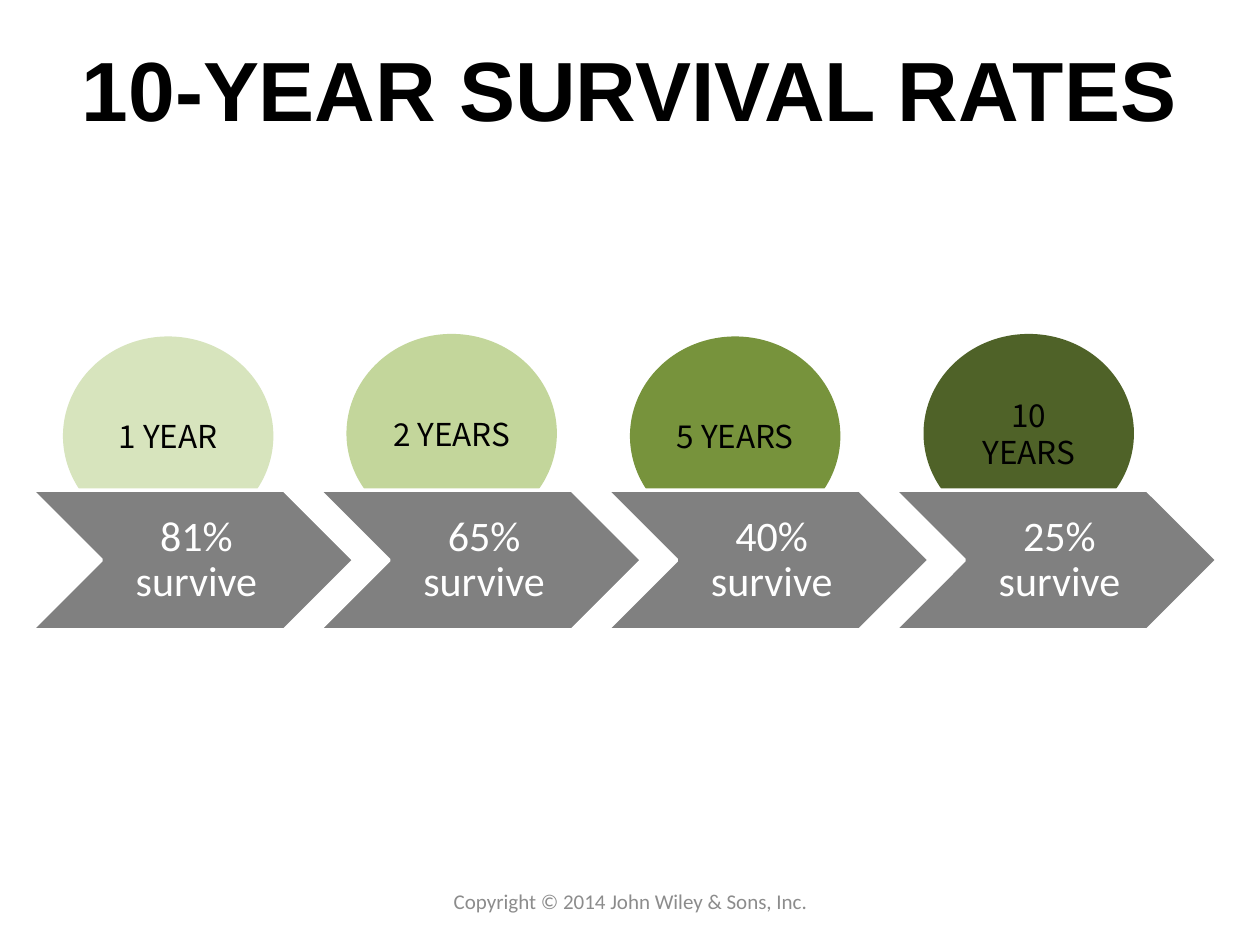
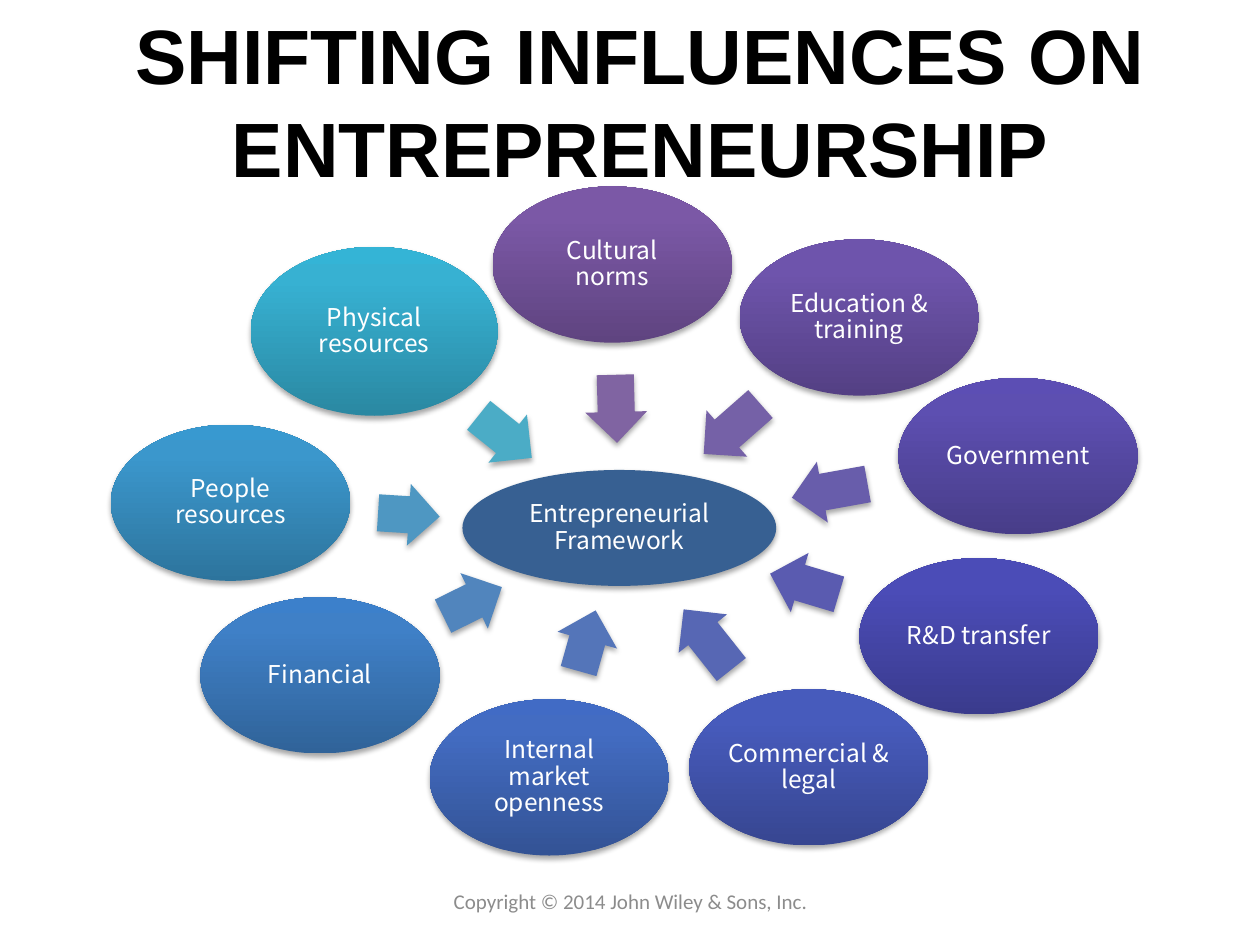
from lxml import etree
from pptx import Presentation
from pptx.dml.color import RGBColor
from pptx.enum.shapes import MSO_SHAPE as Shape
from pptx.enum.text import MSO_ANCHOR as Anchor, MSO_AUTO_SIZE as Fit, PP_ALIGN as Align
from pptx.oxml.ns import qn
from pptx.util import Inches, Pt

# Colours
BLACK = RGBColor(0x00, 0x00, 0x00)
WHITE = RGBColor(0xFF, 0xFF, 0xFF)
GRAY = RGBColor(0x80, 0x80, 0x80)
NOTE = RGBColor(0x8C, 0x8C, 0x8C)
NAVY = RGBColor(0x37, 0x60, 0x92)
GREENS = [RGBColor.from_string(c) for c in ("D7E4BD", "C3D69B", "77933C", "4F6228")]

# Fonts
HEAD, BODY, LABEL = "Arial", "Calibri", "Noto Sans CJK SC"
FOOTER = "Copyright © 2014 John Wiley & Sons, Inc."

# Survival: label, share, left and top of the circle
RATES = [
    ("1 YEAR", "81%", 0.5, 2.67),
    ("2 YEARS", "65%", 2.75, 2.65),
    ("5 YEARS", "40%", 5, 2.67),
    ("10 YEARS", "25%", 7.33, 2.65),
]

# Influences, clockwise: label, oval box, arrow (left, top, width, turn)
FORCES = [
    ("Cultural norms", (3.91, 1.48, 1.9, 1.24), (4.62, 3, 0.54, 88.5)),
    ("Education & training", (5.87, 1.9, 1.9, 1.24), (5.51, 3.16, 0.6, 138.7)),
    ("Government", (7.13, 3, 1.9, 1.24), (6.28, 3.65, 0.61, 169.8)),
    ("R&D transfer", (6.82, 4.43, 1.9, 1.24), (6.1, 4.39, 0.57, 196.7)),
    ("Commercial & legal", (5.47, 5.47, 1.9, 1.24), (5.31, 4.83, 0.61, 231.6)),
    ("Internal market openness", (3.41, 5.55, 1.9, 1.24), (4.41, 4.84, 0.5, 285.7)),
    ("Financial", (1.59, 4.74, 1.9, 1.24), (3.49, 4.53, 0.52, 333.7)),
    ("People resources", (0.88, 3.37, 1.9, 1.24), (3, 3.84, 0.49, 3.6)),
    ("Physical resources", (1.99, 1.96, 1.96, 1.34), (3.74, 3.22, 0.54, 38.7)),
]

# Arrow colour, then oval shades from bottom to top, in the same order
TONES = [[RGBColor.from_string(c) for c in row.split()] for row in (
    "8064A2 5F4480 7B58A6 7C57A8",
    "7561A7 544084 6E54AC 6D52AE",
    "685DAB 483D89 5D4FB1 5C4EB4",
    "5A5BB0 3A3B8D 4B4CB7 494BBA",
    "5767B4 374691 475BBC 455ABF",
    "5475B9 335395 436CC2 416BC5",
    "5185BD 306399 3F80C7 3C80CB",
    "4E97C2 2D749D 3B97CC 3899D0",
    "4BACC6 2A88A2 37B1D2 34B4D6",
)]
STOPS = (0, 80, 100)


def write(shape, text, size, font, color, bold=False, pads=None, pitch=None):
    """Put centred text of one style into a shape."""
    frame = shape.text_frame
    frame.text = text
    frame.word_wrap = True
    frame.auto_size = Fit.NONE
    frame.vertical_anchor = Anchor.MIDDLE
    if pads:
        (frame.margin_left, frame.margin_top,
         frame.margin_right, frame.margin_bottom) = map(Inches, pads)
    for para in frame.paragraphs:
        para.alignment = Align.CENTER
        if pitch:
            para.line_spacing = pitch
        for run in para.runs:
            run.font.size = Pt(size)
            run.font.name = font
            run.font.bold = bold
            run.font.color.rgb = color


def place(shape, box):
    shape.left, shape.top, shape.width, shape.height = map(Inches, box)


def start(deck, text, box, size):
    """Add a slide with the shared title style and footer."""
    slide = deck.slides.add_slide(deck.slide_layouts[5])
    title = slide.shapes.title
    place(title, box)
    write(title, text, size, HEAD, BLACK, bold=True)
    foot = slide.shapes.add_textbox(*map(Inches, (3.42, 6.95, 3.17, 0.4)))
    write(foot, FOOTER, 12, BODY, NOTE)
    return slide


def draw(slide, kind, box, fill=None):
    """Add a plain shape without outline or shadow."""
    shape = slide.shapes.add_shape(kind, *map(Inches, box))
    shape.shadow.inherit = False
    shape.line.fill.background()
    if fill is not None:
        shape.fill.solid()
        shape.fill.fore_color.rgb = fill
    return shape


def tint(parent, color):
    return etree.SubElement(parent, qn("a:srgbClr"), val=str(color))


def shade(shape, colors):
    """Fill a shape with a gradient that runs upward."""
    shape.fill.gradient()
    shape.fill.gradient_angle = 90
    stops = shape.fill._fill._gradFill.find(qn("a:gsLst"))
    for old in list(stops):
        stops.remove(old)
    for pos, color in zip(STOPS, colors):
        tint(etree.SubElement(stops, qn("a:gs"), pos=str(pos * 1000)), color)


def drop(shape):
    """Give a shape a soft shadow below it."""
    effects = shape._element.spPr.find(qn("a:effectLst"))
    shadow = etree.SubElement(effects, qn("a:outerShdw"), blurRad=str(Pt(3.1)),
                              dist=str(Pt(1.8)), dir="5400000", rotWithShape="0")
    etree.SubElement(tint(shadow, BLACK), qn("a:alpha"), val="35000")


def oval(slide, text, box, fill=None):
    shape = draw(slide, Shape.OVAL, box, fill)
    drop(shape)
    write(shape, text, 14, LABEL, WHITE, pads=[0.02] * 4, pitch=0.9)
    return shape


def arrow(slide, left, top, width, turn, fill):
    shape = draw(slide, Shape.RIGHT_ARROW, (left, top, width, 0.49), fill)
    shape.adjustments[0] = 0.6
    shape.adjustments[1] = 0.5
    shape.rotation = turn
    drop(shape)


def rates(deck):
    slide = start(deck, "10-YEAR SURVIVAL RATES", (0.33, 0.24, 9.33, 0.91), 48)
    # Circles stand behind the chevrons
    for (label, _, left, top), green in zip(RATES, GREENS):
        disc = draw(slide, Shape.OVAL, (left, top, 1.67, 1.58), green)
        write(disc, label, 18, LABEL, BLACK)
    for i, (_, share, _, _) in enumerate(RATES):
        step = draw(slide, Shape.CHEVRON, (0.25 + i * 6.85 / 3, 3.89, 2.56, 1.11), GRAY)
        step.line.color.rgb = WHITE
        step.line.width = Pt(2)
        write(step, f"{share} survive", 24, BODY, WHITE,
              pads=(0.1, 0.04, 0.04, 0.04), pitch=0.9)


def forces(deck):
    slide = start(deck, "SHIFTING INFLUENCES ON\vENTREPRENEURSHIP",
                  (0.17, 0.17, 9.83, 1.25), 44)
    # Hub, then a ring of ovals with arrows pointing to it
    oval(slide, "Entrepreneurial Framework", (3.67, 3.73, 2.49, 0.92), NAVY)
    for (label, box, way), (tone, *shades) in zip(FORCES, TONES):
        arrow(slide, *way, tone)
        shade(oval(slide, label, box), shades)


def main():
    deck = Presentation()
    deck.slide_width, deck.slide_height = Inches(10), Inches(7.5)
    rates(deck)
    forces(deck)
    deck.save("out.pptx")


if __name__ == "__main__":
    main()
